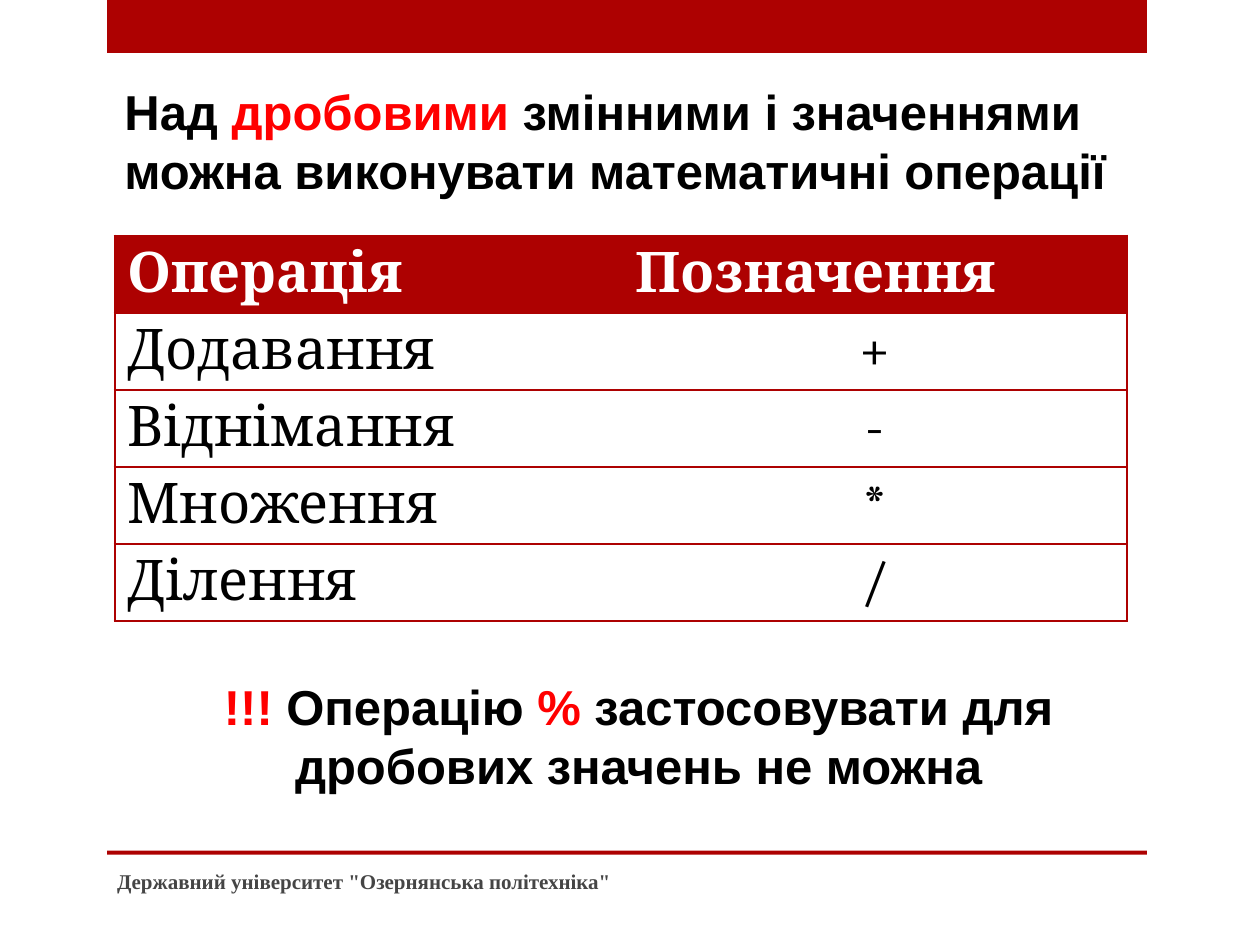
from dataclasses import dataclass

from lxml.etree import SubElement
from pptx import Presentation
from pptx.dml.color import RGBColor
from pptx.enum.shapes import MSO_SHAPE
from pptx.enum.text import MSO_ANCHOR, PP_ALIGN
from pptx.oxml.ns import qn
from pptx.util import Cm, Pt

RED = RGBColor(0xAD, 0x01, 0x01)
BRIGHT = RGBColor(0xFF, 0x00, 0x00)
BLACK = RGBColor(0x00, 0x00, 0x00)
WHITE = RGBColor(0xFF, 0xFF, 0xFF)
GRAY = RGBColor(0x45, 0x45, 0x45)

LARGE = {"name": "Arial", "size": Pt(28), "bold": True}
SMALL = {"name": "Times New Roman", "size": Pt(12), "bold": True}
HEAD = {"name": "Cambria", "size": Pt(32), "bold": True}
BODY = HEAD | {"bold": False}


@dataclass
class Bar:
    top: float
    height: float


@dataclass
class Note:
    box: tuple[float, float, float, float]
    runs: list[tuple[str, RGBColor]]
    style: dict
    align: PP_ALIGN = PP_ALIGN.LEFT
    anchor: MSO_ANCHOR = MSO_ANCHOR.TOP
    indent: float = 0.13


BARS = [Bar(0, 1.07), Bar(17.15, 0.08)]
NOTES = [
    Note((2.13, 1.52, 20.75, 2.64),
         [("Над ", BLACK), ("дробовими", BRIGHT),
          (" змінними і значеннями можна виконувати математичні операції", BLACK)],
         LARGE),
    Note((2.13, 13.51, 21.36, 2.64),
         [("!!! ", BRIGHT), ("Операцію ", BLACK), ("%", BRIGHT),
          (" застосовувати для дробових значень не можна", BLACK)],
         LARGE, align=PP_ALIGN.CENTER),
    Note((2.11, 17.25, 13.54, 1.02),
         [('Державний університет "Озернянська політехніка"', GRAY)],
         SMALL, anchor=MSO_ANCHOR.MIDDLE, indent=0),
]
ROWS = [("Операція", "Позначення"), ("Додавання", "+"), ("Віднімання", "-"),
        ("Множення", "*"), ("Ділення", "/")]
WIDTHS = [10.24, 10.16]
PITCH = 1.55


def write(par, text: str, style: dict, color: RGBColor) -> None:
    run = par.add_run()
    run.text = text
    for key, value in style.items():
        setattr(run.font, key, value)
    run.font.color.rgb = color


def draw_bar(slide, bar: Bar) -> None:
    shape = slide.shapes.add_shape(MSO_SHAPE.RECTANGLE, Cm(2.16), Cm(bar.top),
                                   Cm(20.96), Cm(bar.height))
    shape.shadow.inherit = False
    shape.fill.solid()
    shape.fill.fore_color.rgb = RED
    shape.line.fill.background()


def draw_note(slide, note: Note) -> None:
    frame = slide.shapes.add_textbox(*map(Cm, note.box)).text_frame
    frame.word_wrap = True
    frame.vertical_anchor = note.anchor
    par = frame.paragraphs[0]
    par.alignment = note.align
    if note.indent:
        par._p.get_or_add_pPr().set("marL", str(Cm(note.indent)))
    for text, color in note.runs:
        write(par, text, note.style, color)


def edge(cell, sides: str) -> None:
    props = cell._tc.get_or_add_tcPr()
    for side in "LRTB":
        line = SubElement(props, qn(f"a:ln{side}"), w=str(Pt(1.25)))
        if side in sides:
            fill = SubElement(line, qn("a:solidFill"))
            SubElement(fill, qn("a:srgbClr"), val=str(RED))
        else:
            SubElement(line, qn("a:noFill"))


def draw_table(slide) -> None:
    table = slide.shapes.add_table(len(ROWS), len(WIDTHS), Cm(2.31), Cm(4.75),
                                   Cm(sum(WIDTHS)), Cm(PITCH * len(ROWS))).table
    table.horz_banding = False
    for col, width in zip(table.columns, WIDTHS):
        col.width = Cm(width)
    for i, row in enumerate(ROWS):
        table.rows[i].height = Cm(PITCH)
        for j, text in enumerate(row):
            cell = table.cell(i, j)
            edge(cell, "TB" + "LR"[j])
            cell.fill.solid()
            cell.fill.fore_color.rgb = WHITE if i else RED
            par = cell.text_frame.paragraphs[0]
            par.alignment = PP_ALIGN.CENTER if i and j else PP_ALIGN.LEFT
            write(par, text, BODY if i else HEAD, BLACK if i else WHITE)


deck = Presentation()
deck.slide_width, deck.slide_height = Cm(25.4), Cm(19.05)
slide = deck.slides.add_slide(deck.slide_layouts[6])
for bar in BARS:
    draw_bar(slide, bar)
draw_table(slide)
for note in NOTES:
    draw_note(slide, note)
deck.save("out.pptx")
